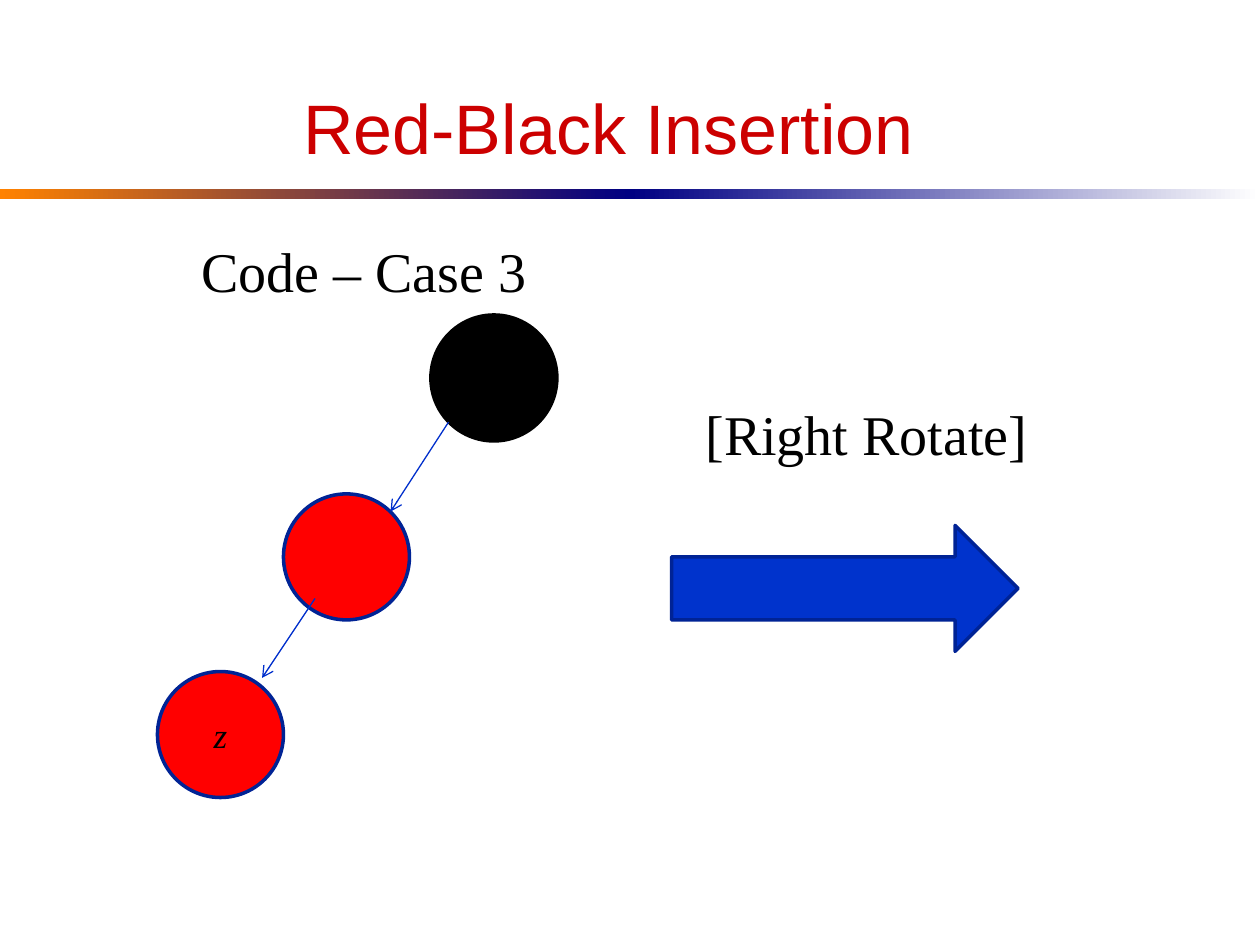
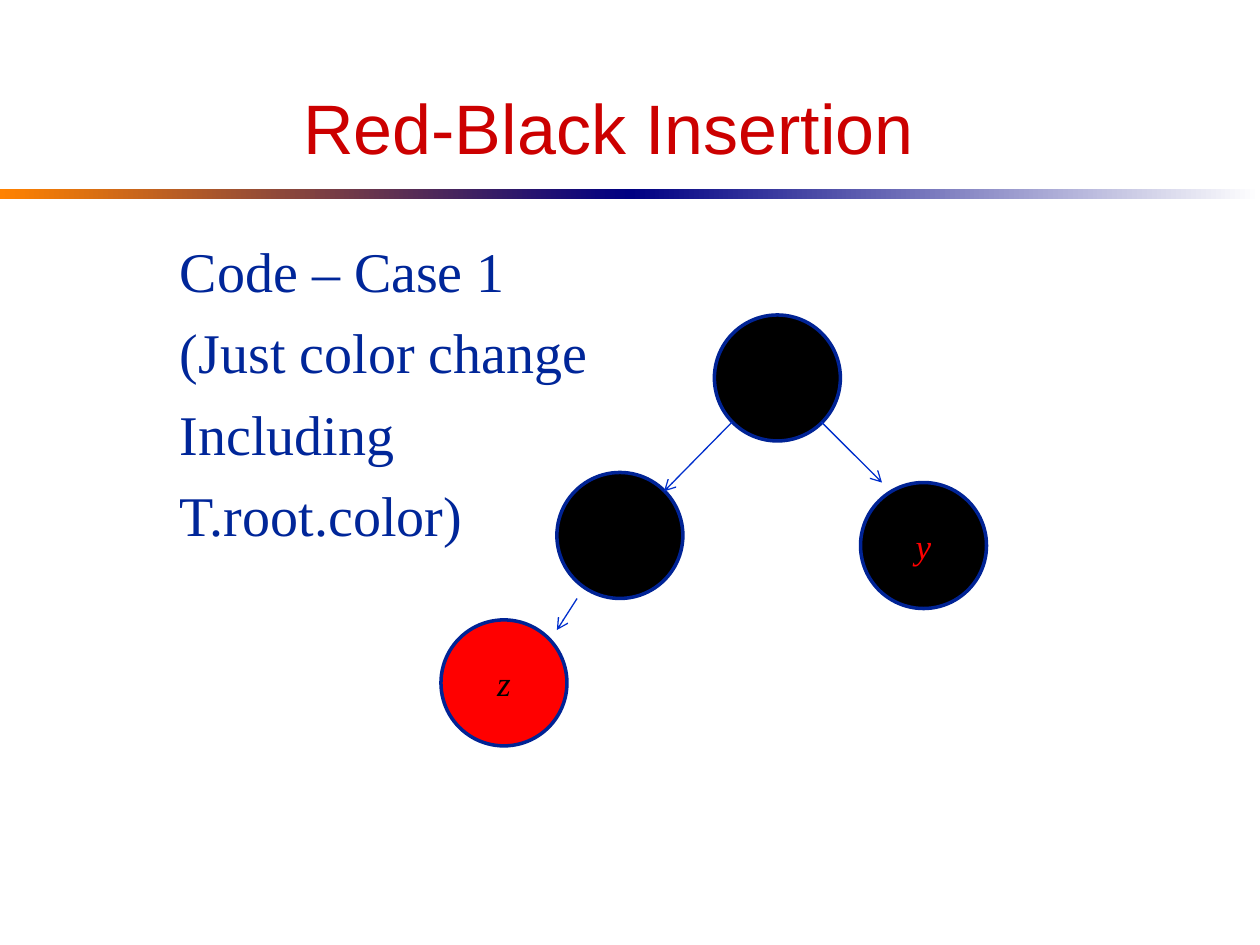
from lxml import etree
from pptx import Presentation
from pptx.dml.color import RGBColor
from pptx.enum.shapes import MSO_CONNECTOR, MSO_SHAPE
from pptx.enum.text import MSO_ANCHOR, PP_ALIGN
from pptx.oxml.ns import qn
from pptx.util import Inches, Pt

CIRCLE, RECTANGLE, RIGHT_ARROW = MSO_SHAPE.OVAL, MSO_SHAPE.RECTANGLE, MSO_SHAPE.RIGHT_ARROW
STRAIGHT = MSO_CONNECTOR.STRAIGHT
LEFT, CENTER = PP_ALIGN.LEFT, PP_ALIGN.CENTER
TOP, MIDDLE = MSO_ANCHOR.TOP, MSO_ANCHOR.MIDDLE

TITLE_FONT, BODY_FONT = "Arial", "Times New Roman"
BLACK, RED, WHITE = "000000", "FF0000", "FFFFFF"
TITLE_RED, TEXT_BLUE = "CC0000", "002699"
OUTLINE, EDGE, ARROW_BLUE = "002395", "002FCC", "0033CC"
ORANGE, NAVY = "FF8200", "000082"
NODE_SIZE = 1


def color(hex_text):
    return RGBColor.from_string(hex_text)


def write(shape, text, size=32, font=BODY_FONT, ink=BLACK, italic=False,
          align=LEFT, anchor=TOP, space_before=0):
    """Fill the shape with one paragraph for each line of text."""
    frame = shape.text_frame
    frame.word_wrap = True
    frame.vertical_anchor = anchor
    frame.text = text
    for para in frame.paragraphs:
        para.alignment = align
        para.space_before = Pt(space_before)
        span = para.runs[0].font
        span.size, span.name, span.italic = Pt(size), font, italic
        span.color.rgb = color(ink)


def add_text(page, text, left, top, width, height, **style):
    box = page.shapes.add_textbox(Inches(left), Inches(top), Inches(width), Inches(height))
    write(box, text, **style)


def add_filled(page, kind, left, top, width, height, fill, line=OUTLINE):
    shape = page.shapes.add_shape(kind, Inches(left), Inches(top), Inches(width), Inches(height))
    shape.shadow.inherit = False
    shape.fill.solid()
    shape.fill.fore_color.rgb = color(fill)
    shape.line.color.rgb = color(line)
    shape.line.width = Pt(2)
    return shape


def add_node(page, left, top, fill, label="", ink=BLACK, line=OUTLINE):
    node = add_filled(page, CIRCLE, left, top, NODE_SIZE, NODE_SIZE, fill, line)
    if label:
        write(node, label, size=20, ink=ink, italic=True, align=CENTER, anchor=MIDDLE)


def add_edge(page, start, end):
    """Draw a thin line with an open arrowhead at its end."""
    edge = page.shapes.add_connector(STRAIGHT, *map(Inches, start + end))
    edge.line.color.rgb = color(EDGE)
    edge.line.width = Pt(0.75)
    etree.SubElement(edge.line._get_or_add_ln(), qn("a:tailEnd"), type="arrow")
    etree.SubElement(edge._element.spPr, qn("a:effectLst"))


def add_gradient_band(page, left, start, end):
    band = page.shapes.add_shape(RECTANGLE, Inches(left), Inches(1.5), Inches(5), Inches(0.08))
    band.shadow.inherit = False
    band.line.fill.background()
    band.fill.gradient()
    band.fill.gradient_angle = 0
    for stop, hex_text, position in zip(band.fill.gradient_stops, (start, end), (0, 1)):
        stop.color.rgb = color(hex_text)
        stop.position = position


def add_page(deck):
    """Add a slide with the shared title and gradient rule."""
    page = deck.slides.add_slide(deck.slide_layouts[6])
    add_gradient_band(page, 0, ORANGE, NAVY)
    add_gradient_band(page, 5, NAVY, WHITE)
    add_text(page, "Red-Black Insertion", 0.58, 0.42, 8.5, 1.17, size=40,
             font=TITLE_FONT, ink=TITLE_RED, align=CENTER, anchor=MIDDLE)
    return page


def build_case_3(deck):
    page = add_page(deck)
    add_text(page, "Code – Case 3", 1.5, 1.83, 4, 0.7, space_before=8)
    add_text(page, "[Right Rotate]", 5.5, 3.12, 3, 0.7, space_before=8)
    add_node(page, 3.42, 2.5, BLACK, line=BLACK)
    add_node(page, 2.25, 3.92, RED)
    add_node(page, 1.25, 5.33, RED, "z")
    add_edge(page, (3.56, 3.35), (3.1, 4.06))
    add_edge(page, (2.5, 4.75), (2.08, 5.38))
    add_filled(page, RIGHT_ARROW, 5.33, 4.17, 2.75, 1, ARROW_BLUE)


def build_case_1(deck):
    page = add_page(deck)
    add_text(page, "Code – Case 1\n(Just color change\nIncluding\nT.root.color)",
             1.33, 1.83, 7.67, 4.58, ink=TEXT_BLUE, space_before=8)
    add_node(page, 5.67, 2.5, BLACK)
    add_node(page, 4.42, 3.75, BLACK)
    add_node(page, 6.83, 3.83, BLACK, "y", ink=RED)
    add_node(page, 3.5, 4.92, RED, "z")
    add_edge(page, (5.81, 3.35), (5.27, 3.9))
    add_edge(page, (6.52, 3.35), (7, 3.83))
    add_edge(page, (4.58, 4.75), (4.42, 5))


def main():
    deck = Presentation()
    deck.slide_width, deck.slide_height = Inches(10), Inches(7.5)
    build_case_3(deck)
    build_case_1(deck)
    deck.save("out.pptx")


if __name__ == "__main__":
    main()
